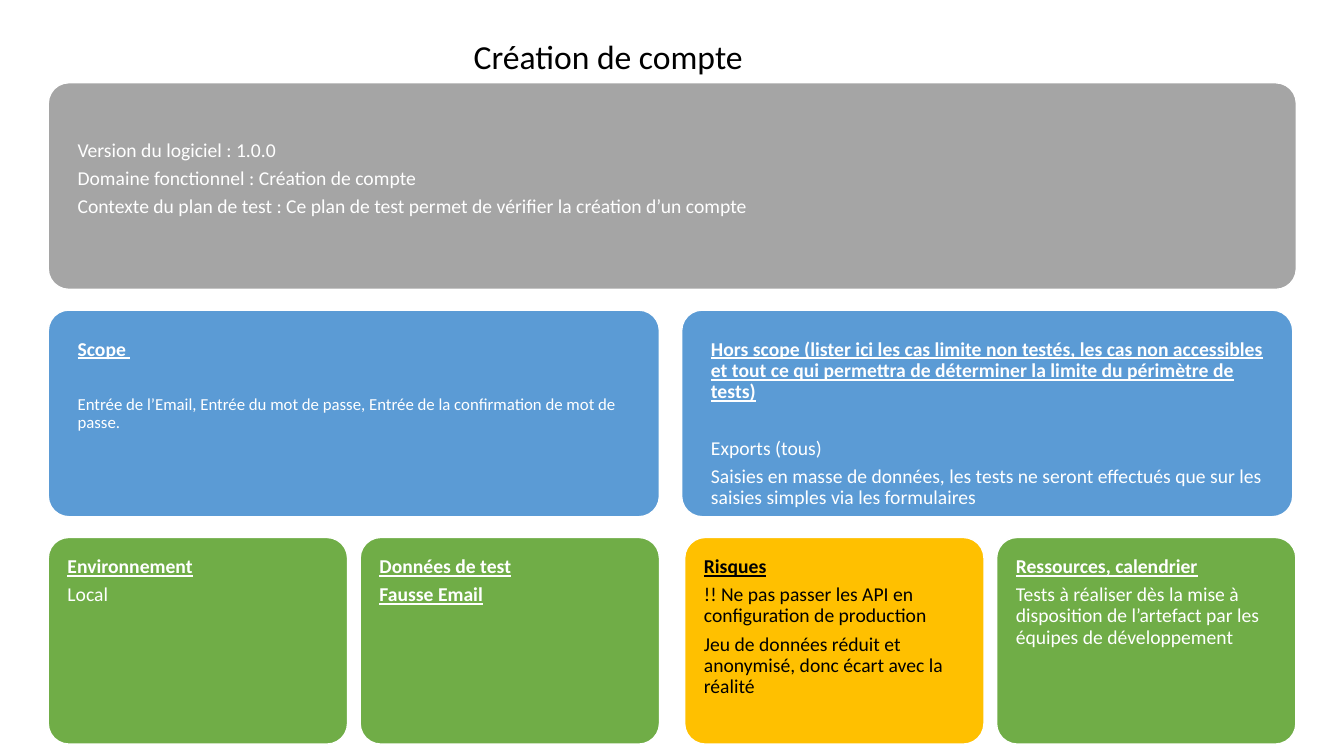
from pptx import Presentation
from pptx.dml.color import RGBColor
from pptx.enum import shapes, text
from pptx.util import Pt

WHITE = RGBColor(0xFF, 0xFF, 0xFF)
BLACK = RGBColor(0x00, 0x00, 0x00)
GREY = RGBColor(0xA5, 0xA5, 0xA5)
BLUE = RGBColor(0x5B, 0x9B, 0xD5)
GREEN = RGBColor(0x70, 0xAD, 0x47)
AMBER = RGBColor(0xFF, 0xC0, 0x00)

FONT = "Calibri"
LEFT, TOP = 34.5, 59.1
CARD_HEIGHT, ROW_STEP = 147.6, 162.4
FULL_WIDTH, HALF_WIDTH, QUARTER_WIDTH = 891.5, 436.5, 213.8
HALF_STEP = 452.4
PAIR_STEP, QUARTER_STEP = 454.6, 222.8
WIDE_INSET, NARROW_INSET = 16.6, 9.4
SKIPPED_LINE = 20.3


def write_para(para, words, size, color, heading=False):
    para.text = words
    para.line_spacing = 0.9
    para.space_after = Pt(5)
    for span in para.runs:
        span.font.name = FONT
        span.font.size = Pt(size)
        span.font.color.rgb = color
        span.font.bold = heading
        span.font.underline = heading


def add_title(page, words):
    box = page.shapes.add_textbox(Pt(194.4), Pt(25.2), Pt(480), Pt(33.1))
    box.text_frame.word_wrap = True
    para = box.text_frame.paragraphs[0]
    write_para(para, words, 24, BLACK)
    para.alignment = text.PP_ALIGN.CENTER


def add_card(page, left, row, width, fill, inset, lines, headings=1,
             color=WHITE, body_size=14, top_gap=0, body_gap=0):
    """Rounded card: the first lines are headings, the others body text."""
    card = page.shapes.add_shape(
        shapes.MSO_SHAPE.ROUNDED_RECTANGLE,
        Pt(left), Pt(TOP + row * ROW_STEP), Pt(width), Pt(CARD_HEIGHT))
    card.adjustments[0] = 0.1
    card.shadow.inherit = False
    card.fill.solid()
    card.fill.fore_color.rgb = fill
    card.line.color.rgb = WHITE
    card.line.width = Pt(1)

    frame = card.text_frame
    frame.word_wrap = True
    frame.vertical_anchor = text.MSO_ANCHOR.TOP
    frame.margin_left = frame.margin_right = frame.margin_bottom = Pt(inset)
    frame.margin_top = Pt(inset + top_gap)
    for index, words in enumerate(lines):
        para = frame.add_paragraph() if index else frame.paragraphs[0]
        heading = index < headings
        write_para(para, words, 14 if heading else body_size, color, heading)
        para.alignment = text.PP_ALIGN.LEFT
        if index and index == headings:
            para.space_before = Pt(body_gap)


def main():
    deck = Presentation()
    deck.slide_width, deck.slide_height = Pt(960), Pt(540)
    page = deck.slides.add_slide(deck.slide_layouts[6])

    # Test plan summary
    add_card(page, LEFT, 0, FULL_WIDTH, GREY, WIDE_INSET, [
        "Version du logiciel : 1.0.0",
        "Domaine fonctionnel : Création de compte",
        "Contexte du plan de test : Ce plan de test permet de vérifier "
        "la création d’un compte",
    ], headings=0, top_gap=SKIPPED_LINE)

    # In scope and out of scope
    add_card(page, LEFT, 1, HALF_WIDTH, BLUE, WIDE_INSET, [
        "Scope ",
        "Entrée de l’Email, Entrée du mot de passe, Entrée de la "
        "confirmation de mot de passe.",
    ], body_size=12, body_gap=SKIPPED_LINE)
    add_card(page, LEFT + HALF_STEP, 1, HALF_WIDTH, BLUE, WIDE_INSET, [
        "Hors scope (lister ici les cas limite non testés, les cas non "
        "accessibles et tout ce qui permettra de déterminer la limite du "
        "périmètre de tests)",
        "Exports (tous)",
        "Saisies en masse de données, les tests ne seront effectués que sur "
        "les saisies simples via les formulaires",
    ], body_gap=SKIPPED_LINE)

    # Conditions: two pairs of cards (fill, text colour, headings, lines)
    conditions = [
        (GREEN, WHITE, 1, ["Environnement", "Local"]),
        (GREEN, WHITE, 2, ["Données de test", "Fausse Email"]),
        (AMBER, BLACK, 1, [
            "Risques",
            "!! Ne pas passer les API en configuration de production",
            "Jeu de données réduit et anonymisé, donc écart avec la réalité"]),
        (GREEN, WHITE, 1, [
            "Ressources, calendrier",
            "Tests à réaliser dès la mise à disposition de l’artefact par "
            "les équipes de développement"]),
    ]
    for index, (fill, color, headings, lines) in enumerate(conditions):
        pair, place = divmod(index, 2)
        left = LEFT + pair * PAIR_STEP + place * QUARTER_STEP
        add_card(page, left, 2, QUARTER_WIDTH, fill, NARROW_INSET, lines,
                 headings, color)

    add_title(page, "Création de compte")
    deck.save("out.pptx")


if __name__ == "__main__":
    main()
